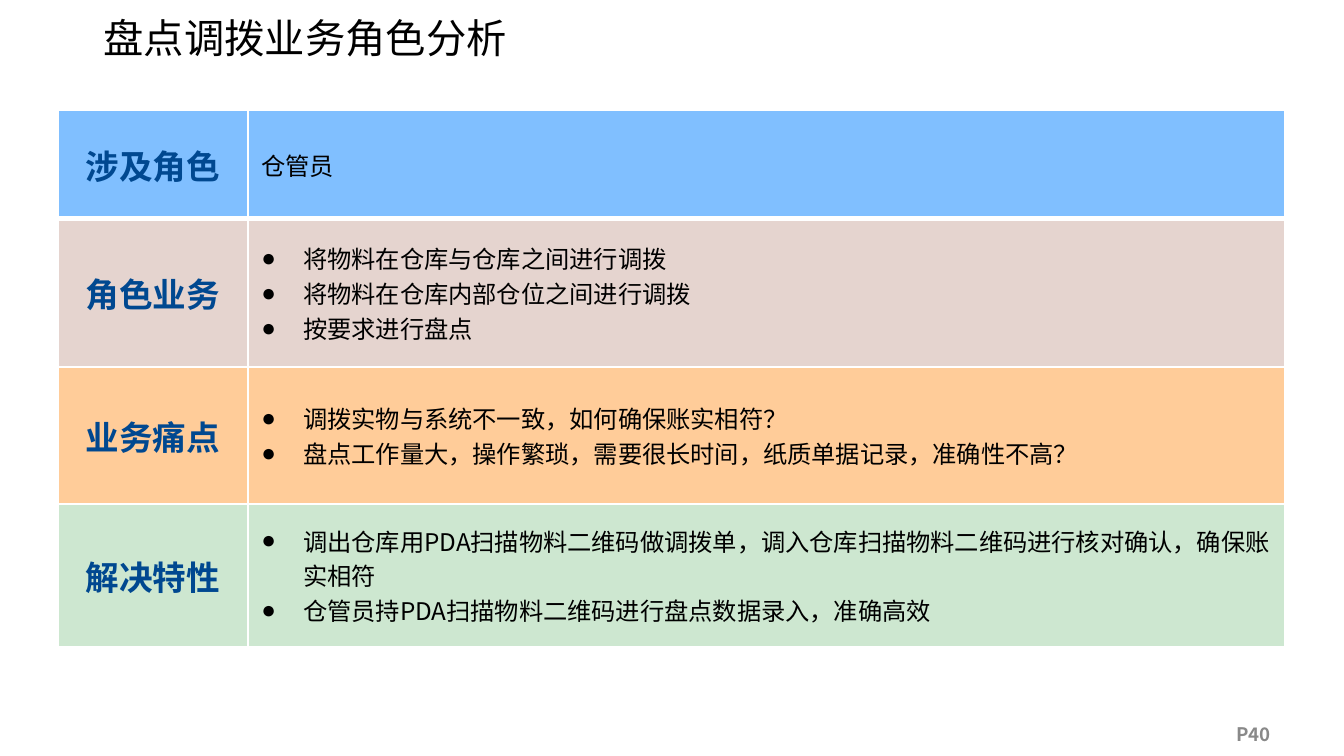
import pptx
import pptx.util
import pptx.dml.color
import pptx.enum.text
import pptx.oxml.ns
import lxml.etree

SCALE = 914400 / 134.4
FONT = "Noto Sans CJK SC"
BULLET_FONT = "Arial"
TITLE = "盘点调拨业务角色分析"
PAGE = "P40"
ROWS = [
    ("涉及角色", "80BFFF", 109, False, ["仓管员"]),
    ("角色业务", "E5D4CF", 148, True, [
        "将物料在仓库与仓库之间进行调拨",
        "将物料在仓库内部仓位之间进行调拨",
        "按要求进行盘点",
    ]),
    ("业务痛点", "FFCC99", 137, True, [
        "调拨实物与系统不一致，如何确保账实相符？",
        "盘点工作量大，操作繁琐，需要很长时间，纸质单据记录，准确性不高？",
    ]),
    ("解决特性", "CDE7D0", 143, True, [
        "调出仓库用PDA扫描物料二维码做调拨单，调入仓库扫描物料二维码进行核对确认，确保账实相符",
        "仓管员持PDA扫描物料二维码进行盘点数据录入，准确高效",
    ]),
]
COLUMNS = [190, 1037]
TABLE_LEFT, TABLE_TOP = 58, 110
INDENT = 42

TITLE_FORMAT = {"size": 21.6, "color": "000000", "bold": False}
LABEL_FORMAT = {"size": 18, "color": "004890", "bold": True}
DETAIL_FORMAT = {"size": 13, "color": "000000", "bold": False}
PAGE_FORMAT = {"size": 10, "color": "898989", "bold": True}

LEFT = pptx.enum.text.PP_ALIGN.LEFT
CENTER = pptx.enum.text.PP_ALIGN.CENTER
MIDDLE = pptx.enum.text.MSO_ANCHOR.MIDDLE


def px(length):
    return pptx.util.Emu(round(length * SCALE))


def rgb(value):
    return pptx.dml.color.RGBColor.from_string(value)


def add_child(parent, tag, **attributes):
    return lxml.etree.SubElement(parent, pptx.oxml.ns.qn(tag), attributes)


def write(frame, lines, style, align=LEFT, bulleted=False):
    for index, line in enumerate(lines):
        paragraph = frame.paragraphs[0] if index == 0 else frame.add_paragraph()
        paragraph.alignment = align
        if bulleted:
            properties = paragraph._p.get_or_add_pPr()
            properties.set("marL", str(px(INDENT)))
            properties.set("indent", str(-px(INDENT)))
            add_child(properties, "a:buFont", typeface=BULLET_FONT)
            add_child(properties, "a:buChar", char="●")
        run = paragraph.add_run()
        run.text = line
        values = {"size": pptx.util.Pt(style["size"]), "bold": style["bold"], "name": FONT}
        for name, value in values.items():
            setattr(run.font, name, value)
        run.font.color.rgb = rgb(style["color"])
        add_child(run._r.get_or_add_rPr(), "a:ea", typeface=FONT)


def draw_borders(cell, widths):
    properties = cell._tc.get_or_add_tcPr()
    for side, width in widths.items():
        line = add_child(properties, "a:ln" + side, w=str(pptx.util.Pt(width)))
        add_child(add_child(line, "a:solidFill"), "a:srgbClr", val="FFFFFF")


def place(shape, left, top, width, height):
    for name, value in {"left": left, "top": top, "width": width, "height": height}.items():
        setattr(shape, name, px(value))


def main():
    deck = pptx.Presentation()
    deck.slide_width, deck.slide_height = px(1344), px(756)
    slide = deck.slides.add_slide(deck.slide_layouts[5])

    title = slide.shapes.title
    place(title, 90, 15, 1079, 44)
    title.text_frame.vertical_anchor = MIDDLE
    write(title.text_frame, [TITLE], TITLE_FORMAT)

    page = slide.shapes.add_textbox(px(1223), px(716), px(121), px(36))
    page.text_frame.word_wrap = True
    write(page.text_frame, [PAGE], PAGE_FORMAT)

    roles = slide.shapes.add_table(
        len(ROWS), len(COLUMNS), px(TABLE_LEFT), px(TABLE_TOP),
        px(sum(COLUMNS)), px(sum(row[2] for row in ROWS))).table
    for column, width in zip(roles.columns, COLUMNS):
        column.width = px(width)
    for index, (label, fill, height, bulleted, details) in enumerate(ROWS):
        roles.rows[index].height = px(height)
        label_cell, detail_cell = roles.cell(index, 0), roles.cell(index, 1)
        widths = {"L": 1, "R": 1, "T": 3 if index == 1 else 1, "B": 3 if index == 0 else 1}
        for cell in (label_cell, detail_cell):
            draw_borders(cell, widths)
            cell.fill.solid()
            cell.fill.fore_color.rgb = rgb(fill)
            cell.vertical_anchor = MIDDLE
        write(label_cell.text_frame, [label], LABEL_FORMAT, CENTER)
        write(detail_cell.text_frame, details, DETAIL_FORMAT, LEFT, bulleted)

    deck.save("out.pptx")


if __name__ == "__main__":
    main()
